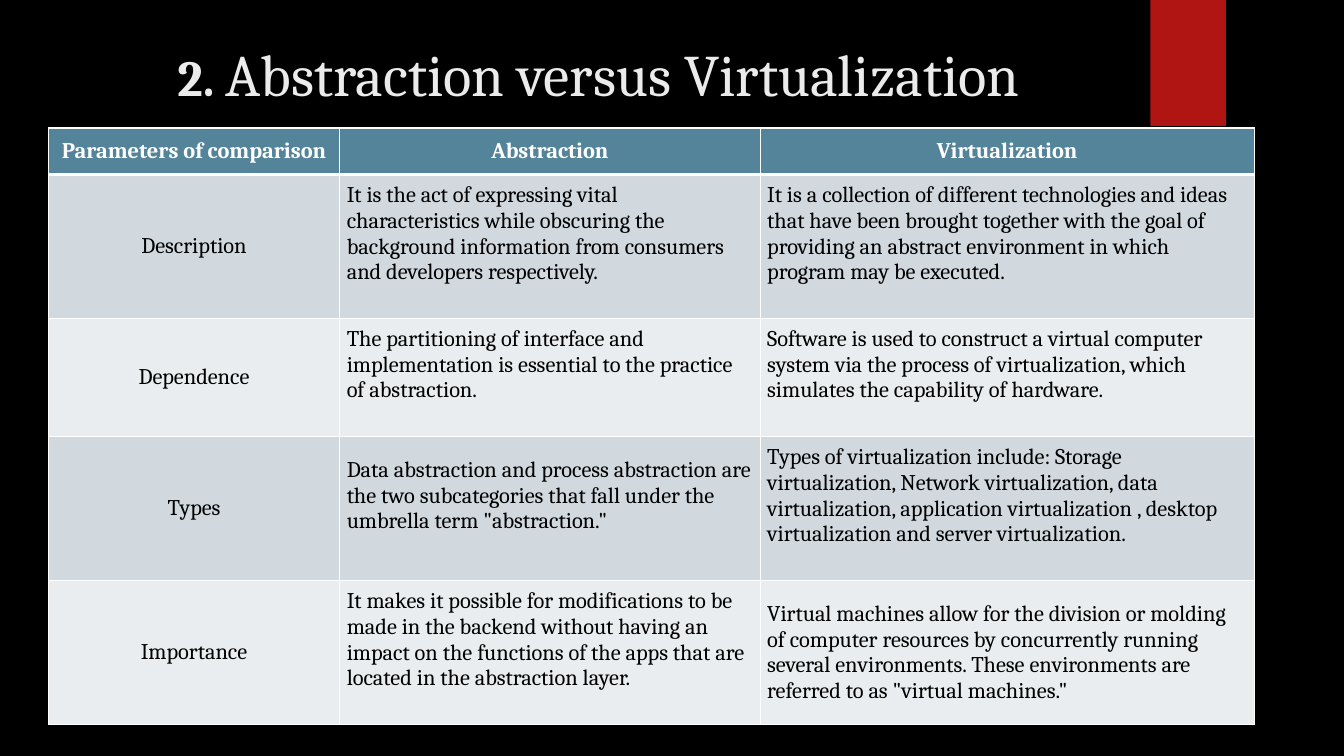
from lxml.etree import SubElement
from pptx import Presentation
from pptx.dml.color import RGBColor
from pptx.enum.shapes import MSO_SHAPE
from pptx.enum.text import MSO_ANCHOR, MSO_AUTO_SIZE, PP_ALIGN
from pptx.oxml.ns import qn
from pptx.util import Inches, Pt

FONT = "Cambria"
HEADER_FILL = "54849A"
BAND_FILLS = ["E9EDEF", "D1D9DE"]
COL_WIDTHS = [2.89, 4.17, 4.9]
ROW_HEIGHTS = [0.46, 1.43, 1.17, 1.43, 1.43]
ROWS = [
    ["Parameters of comparison", "Abstraction", "Virtualization"],
    ["Description",
     "It is the act of expressing vital characteristics while obscuring the "
     "background information from consumers and developers respectively.",
     "It is a collection of different technologies and ideas that have been brought "
     "together with the goal of providing an abstract environment in which program "
     "may be executed."],
    ["Dependence",
     "The partitioning of interface and implementation is essential to the practice "
     "of abstraction.",
     "Software is used to construct a virtual computer system via the process of "
     "virtualization, which simulates the capability of hardware."],
    ["Types",
     "Data abstraction and process abstraction are the two subcategories that fall "
     'under the umbrella term "abstraction."',
     "Types of virtualization include: Storage virtualization, Network "
     "virtualization, data virtualization, application virtualization , desktop "
     "virtualization and server virtualization."],
    ["Importance",
     "It makes it possible for modifications to be made in the backend without "
     "having an impact on the functions of the apps that are located in the "
     "abstraction layer.",
     "Virtual machines allow for the division or molding of computer resources by "
     "concurrently running several environments. These environments are referred to "
     'as "virtual machines."'],
]


def add_run(p, text, size, color, bold=False):
    r = p.add_run()
    r.text = text
    r.font.name = FONT
    r.font.size = Pt(size)
    r.font.bold = bold
    r.font.color.rgb = RGBColor.from_string(color)


def set_borders(cell, top, bottom):
    """Draw white cell borders; the side borders are always 1 pt."""
    tc_pr = cell._tc.get_or_add_tcPr()
    for side, width in [("L", 1), ("R", 1), ("T", top), ("B", bottom)]:
        ln = SubElement(tc_pr, qn(f"a:ln{side}"), w=str(Pt(width)))
        fill = SubElement(ln, qn("a:solidFill"))
        SubElement(fill, qn("a:srgbClr"), val="FFFFFF")


prs = Presentation()
prs.slide_width, prs.slide_height = Inches(13.33), Inches(7.5)
s = prs.slides.add_slide(prs.slide_layouts[5])
s.background.fill.solid()
s.background.fill.fore_color.rgb = RGBColor.from_string("000000")

# Red tab
tab = s.shapes.add_shape(MSO_SHAPE.RECTANGLE, Inches(11.41), 0, Inches(0.75), Inches(1.25))
tab.shadow.inherit = False
tab.fill.solid()
tab.fill.fore_color.rgb = RGBColor.from_string("B01513")
tab.line.fill.background()

# Title
title = s.shapes.title
title.left, title.top = Inches(0.79), Inches(0.27)
title.width, title.height = Inches(10.29), Inches(0.63)
tf = title.text_frame
tf.auto_size = MSO_AUTO_SIZE.NONE
tf.vertical_anchor = MSO_ANCHOR.TOP
tf.margin_top = Inches(0.1)
p = tf.paragraphs[0]
p.alignment = PP_ALIGN.CENTER
add_run(p, "2. ", 36, "EBEBEB", bold=True)
add_run(p, "Abstraction versus Virtualization", 42, "EBEBEB")

# Comparison table
table = s.shapes.add_table(
    len(ROWS), len(COL_WIDTHS), Inches(0.48), Inches(1.27),
    Inches(sum(COL_WIDTHS)), Inches(sum(ROW_HEIGHTS))).table
for col, width in zip(table.columns, COL_WIDTHS):
    col.width = Inches(width)
for row, height in zip(table.rows, ROW_HEIGHTS):
    row.height = Inches(height)

for i, texts in enumerate(ROWS):
    header = i == 0
    for j, text in enumerate(texts):
        cell = table.cell(i, j)
        set_borders(cell, top=3 if i == 1 else 1, bottom=3 if header else 1)
        cell.fill.solid()
        cell.fill.fore_color.rgb = RGBColor.from_string(
            HEADER_FILL if header else BAND_FILLS[i % 2])
        cell.vertical_anchor = MSO_ANCHOR.MIDDLE
        cell.margin_left = cell.margin_right = Inches(0.08 if header else 0.07)
        cell.margin_top = cell.margin_bottom = Inches(0.1 if header else 0.07)
        # Descriptions sit half a line high, except the last one
        if not header and j > 0 and (i, j) != (4, 2):
            cell.margin_bottom = Inches(0.32)
        p = cell.text_frame.paragraphs[0]
        p.alignment = PP_ALIGN.CENTER if header or j == 0 else PP_ALIGN.LEFT
        add_run(p, text, 16, "FFFFFF" if header else "000000", bold=header)

prs.save("out.pptx")
